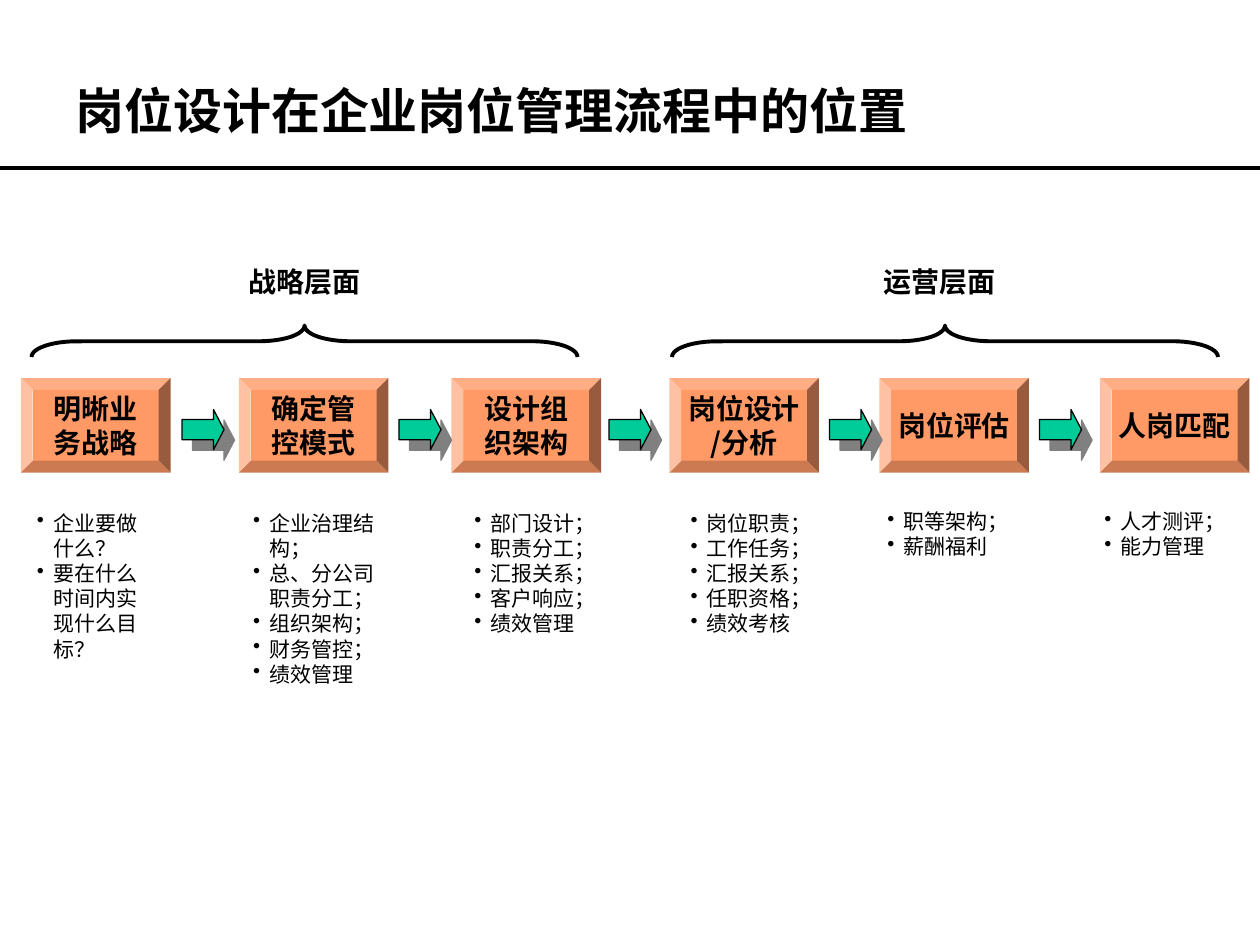
from lxml.etree import SubElement as Sub
from pptx import Presentation
from pptx.dml.color import RGBColor as RGB
from pptx.enum.shapes import MSO_CONNECTOR as Conn, MSO_SHAPE as Kind
from pptx.enum.text import MSO_ANCHOR as Anchor, MSO_AUTO_SIZE as Auto, PP_ALIGN as Align
from pptx.oxml.ns import qn
from pptx.util import Pt

BLACK = RGB(0x00, 0x00, 0x00)
ORANGE = RGB(0xFF, 0x99, 0x66)
GREEN = RGB(0x00, 0xCC, 0x99)
GRAY = RGB(0x80, 0x80, 0x80)
SANS = "Noto Sans CJK SC"
SERIF = "Times New Roman"

STEPS = [
    (12, ["明晰业", "务战略"]),
    (136.5, ["确定管", "控模式"]),
    (258, ["设计组", "织架构"]),
    (382.5, ["岗位设计", "/分析"]),
    (502.5, ["岗位评估"]),
    (628.5, ["人岗匹配"]),
]
ARROWS = [104, 228, 348, 474, 594]
LEVELS = [(174, 133, "战略层面"), (540, 496, "运营层面")]
LISTS = [
    (14, 288, 82, 93.5, ["企业要做什么？", "要在什么时间内实现什么目标？"]),
    (137.5, 288, 90, 108, ["企业治理结构；", "总、分公司职责分工；", "组织架构；", "财务管控；", "绩效管理"]),
    (264, 288, 96, 79, ["部门设计；", "职责分工；", "汇报关系；", "客户响应；", "绩效管理"]),
    (387.5, 288, 90, 79, ["岗位职责；", "工作任务；", "汇报关系；", "任职资格；", "绩效考核"]),
    (500, 287, 96, 36, ["职等架构；", "薪酬福利"]),
    (624, 287, 90, 36, ["人才测评；", "能力管理"]),
]


def dot(para):
    """Give a paragraph a hanging round bullet."""
    props = para._p.get_or_add_pPr()
    props.set("marL", str(Pt(9.38)))
    props.set("indent", str(-Pt(9.38)))
    Sub(props, qn("a:buChar"), char="•")


def write(frame, lines, size, face, bold=True, align=Align.LEFT, marks=False):
    """Fill a text frame with one paragraph per line."""
    for num, line in enumerate(lines):
        para = frame.add_paragraph() if num else frame.paragraphs[0]
        para.text = line
        if marks:
            dot(para)
        para.alignment = align
        font = para.font
        font.size, font.bold, font.name = Pt(size), bold, face
        font.color.rgb = BLACK
        Sub(para._p.pPr.find(qn("a:defRPr")), qn("a:ea"), typeface=SANS)


def add_text(slide, box, lines, size, face, **style):
    """Add a wrapping text box and return its frame."""
    frame = slide.shapes.add_textbox(*map(Pt, box)).text_frame
    frame.word_wrap = True
    write(frame, lines, size, face, **style)
    return frame


def add_form(slide, kind, box, fill, *ratios):
    """Add a flat preset shape with its adjustments."""
    form = slide.shapes.add_shape(kind, *map(Pt, box))
    form.shadow.inherit = False
    for num, ratio in enumerate(ratios):
        form.adjustments[num] = ratio
    if fill is None:
        form.fill.background()
    else:
        form.fill.solid()
        form.fill.fore_color.rgb = fill
    return form


def ink(line, width):
    """Draw a line in black."""
    line.color.rgb = BLACK
    line.width = Pt(width)


def add_step(slide, left, lines):
    """Add a bevelled process step."""
    step = add_form(slide, Kind.BEVEL, (left, 216, 85.5, 54), ORANGE, 0.125)
    step.line.fill.background()
    frame = step.text_frame
    frame.word_wrap = False
    frame.vertical_anchor = Anchor.MIDDLE
    write(frame, lines, 16, SANS, align=Align.CENTER)


def add_arrow(slide, left):
    """Add a block arrow with a hard shadow."""
    arrow = add_form(slide, Kind.RIGHT_ARROW, (left, 234, 24, 23), GREEN, 0.5, 0.262)
    ink(arrow.line, 0.75)
    glow = arrow._element.spPr.find(qn("a:effectLst"))
    shade = Sub(glow, qn("a:outerShdw"), dist=str(Pt(8.5)), dir="2700000",
                algn="ctr", rotWithShape="0")
    Sub(shade, qn("a:srgbClr"), val=str(GRAY))


def add_level(slide, mid, left, label):
    """Add an upward brace with its label above."""
    brace = add_form(slide, Kind.LEFT_BRACE, (mid - 9, 39, 18, 312), None, 1.44, 0.5)
    brace.rotation = 90
    ink(brace.line, 2.25)
    add_text(slide, (left, 147.5, 80, 26.5), [label], 16, SERIF, align=Align.RIGHT)


def add_rule(slide):
    """Add the rule under the title."""
    rule = slide.shapes.add_connector(Conn.STRAIGHT, 0, Pt(96), Pt(720), Pt(96))
    ink(rule.line, 2.25)
    Sub(rule._element.spPr, qn("a:effectLst"))


def main():
    """Build the slide and save it."""
    deck = Presentation()
    deck.slide_width, deck.slide_height = Pt(720), Pt(540)
    slide = deck.slides.add_slide(deck.slide_layouts[6])
    title = add_text(slide, (36, 18, 624, 90), ["岗位设计在企业岗位管理流程中的位置"], 28, SANS)
    title.vertical_anchor = Anchor.MIDDLE
    add_rule(slide)
    for left, lines in STEPS:
        add_step(slide, left, lines)
    for left in ARROWS:
        add_arrow(slide, left)
    for level in LEVELS:
        add_level(slide, *level)
    for *box, lines in LISTS:
        frame = add_text(slide, box, lines, 12, SERIF, bold=False, marks=True)
        frame.auto_size = Auto.SHAPE_TO_FIT_TEXT
    deck.save("out.pptx")


if __name__ == "__main__":
    main()
